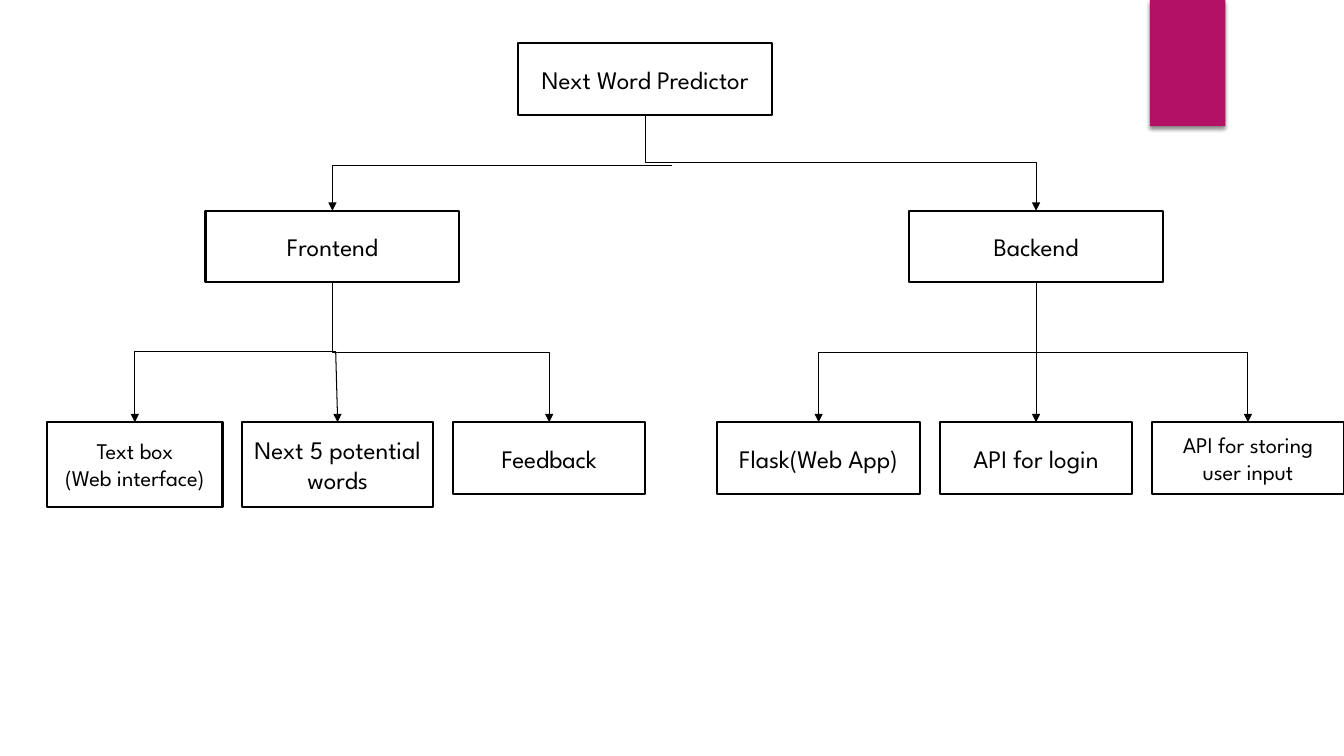
"""Draw the component tree of a next word predictor."""
import dataclasses
import typing

import pptx
import pptx.dml.color
import pptx.enum.shapes
import pptx.enum.text
import pptx.oxml
import pptx.oxml.ns
import pptx.util

Cm, Pt = pptx.util.Cm, pptx.util.Pt
Shape = pptx.enum.shapes.MSO_SHAPE
Kind = pptx.enum.shapes.MSO_CONNECTOR
qn = pptx.oxml.ns.qn
NS = pptx.oxml.ns.nsdecls("a")

COLORS = {"ink": "000000", "paper": "FFFFFF", "tab": "B31166"}
FRAME = {"word_wrap": True, "vertical_anchor": pptx.enum.text.MSO_ANCHOR.MIDDLE}
FONT = {"name": "League Spartan"}
ROOT_Y, PART_Y, LEAF_Y = 1.09, 5.31, 10.64
HIGH = 1.8
ROOT_X, FRONT_X, BACK_X = 16.26, 8.38, 26.11
BAR_Y = 8.87


@dataclasses.dataclass
class Box:
    """A labelled box, placed by its centre line and top, in cm."""
    text: str
    mid: float
    top: float
    wide: float = 4.83
    high: float = HIGH
    size: int = 18


@dataclasses.dataclass
class Link:
    """An arrow between two points in cm, straight or bent."""
    x1: float
    y1: float
    x2: float
    y2: float
    form: str = "bentConnector3"


BOXES = [
    Box("Next Word Predictor", ROOT_X, ROOT_Y, 6.4),
    Box("Frontend", FRONT_X, PART_Y, 6.4),
    Box("Backend", BACK_X, PART_Y, 6.4),
    Box("Text box\n(Web interface)", 3.4, LEAF_Y, 4.42, 2.13, 16),
    Box("Next 5 potential words", 8.51, LEAF_Y, high=2.13),
    Box("Feedback", 13.84, LEAF_Y),
    Box("Flask(Web App)", 20.63, LEAF_Y, 5.13),
    Box("API for login", BACK_X, LEAF_Y),
    Box("API for storing user input", 31.45, LEAF_Y, size=16),
]
LINKS = [
    Link(ROOT_X, ROOT_Y + HIGH, BACK_X, PART_Y),
    Link(16.94, 4.16, FRONT_X, PART_Y, "bentConnector2"),
    Link(FRONT_X, PART_Y + HIGH, 13.84, LEAF_Y),
    Link(8.46, BAR_Y, 8.51, LEAF_Y, "line"),
    Link(8.48, BAR_Y, 3.4, LEAF_Y, "bentConnector2"),
    Link(BACK_X, PART_Y + HIGH, 31.45, LEAF_Y),
    Link(BACK_X, BAR_Y, BACK_X, LEAF_Y, "line"),
    Link(BACK_X, PART_Y + HIGH, 20.63, LEAF_Y),
]


def tint(name: str) -> pptx.dml.color.RGBColor:
    """Look up a colour."""
    return pptx.dml.color.RGBColor.from_string(COLORS[name])


def apply(item: typing.Any, values: dict) -> None:
    """Set format values on an object."""
    for key, value in values.items():
        setattr(item, key, value)


def block(shapes: typing.Any, x: float, y: float, w: float, h: float, fill: str) -> typing.Any:
    """Add a filled rectangle without a shadow."""
    shape = shapes.add_shape(Shape.RECTANGLE, Cm(x), Cm(y), Cm(w), Cm(h))
    shape.shadow.inherit = False
    shape.fill.solid()
    shape.fill.fore_color.rgb = tint(fill)
    return shape


def draw_tab(shapes: typing.Any) -> None:
    """Add the coloured tab with its soft shadow."""
    tab = block(shapes, 28.98, 0, 1.9, 3.18, "tab")
    tab.line.fill.background()
    glow = pptx.oxml.parse_xml(
        f'<a:outerShdw {NS} blurRad="{Pt(3)}" dist="{Pt(2)}" dir="5400000" rotWithShape="0">'
        f'<a:srgbClr val="{COLORS["ink"]}"><a:alpha val="45000"/></a:srgbClr></a:outerShdw>')
    tab._element.spPr.find(qn("a:effectLst")).append(glow)


def draw_box(shapes: typing.Any, box: Box) -> None:
    """Add a box and its centred label."""
    shape = block(shapes, box.mid - box.wide / 2, box.top, box.wide, box.high, "paper")
    shape.line.color.rgb = tint("ink")
    shape.line.width = Pt(1.5)
    frame = shape.text_frame
    frame.text = box.text
    apply(frame, FRAME)
    for para in frame.paragraphs:
        para.alignment = pptx.enum.text.PP_ALIGN.CENTER
        for run in para.runs:
            apply(run.font, FONT | {"size": Pt(box.size)})
            run.font.color.rgb = tint("ink")


def draw_link(shapes: typing.Any, link: Link) -> None:
    """Add an arrow; a three-part bend is turned to leave downwards."""
    kind = Kind.STRAIGHT if link.form == "line" else Kind.ELBOW
    ends = [Cm(v) for v in (link.x1, link.y1, link.x2, link.y2)]
    wire = shapes.add_connector(kind, *ends)
    wire.line.color.rgb = tint("ink")
    wire.line.width = Pt(0.75)
    props = wire._element.spPr
    props.find(qn("a:prstGeom")).set("prst", link.form)
    if link.form == "bentConnector3":
        wide, high = abs(link.x2 - link.x1), link.y2 - link.y1
        left = (link.x1 + link.x2 - high) / 2
        top = (link.y1 + link.y2 - wide) / 2
        apply(wire, {"left": Cm(left), "top": Cm(top), "width": Cm(high), "height": Cm(wide)})
        right = link.x2 > link.x1
        props.xfrm.set("rot", "16200000" if right else "5400000")
        props.xfrm.set("flipH", "1" if right else "0")
    props.find(qn("a:ln")).append(pptx.oxml.parse_xml(f'<a:tailEnd {NS} type="triangle"/>'))
    props.append(pptx.oxml.parse_xml(f"<a:effectLst {NS}/>"))


def main() -> None:
    """Build and save the slide."""
    deck = pptx.Presentation()
    apply(deck, {"slide_width": Cm(33.87), "slide_height": Cm(19.05)})
    shapes = deck.slides.add_slide(deck.slide_layouts[6]).shapes
    draw_tab(shapes)
    for box in BOXES:
        draw_box(shapes, box)
    for link in LINKS:
        draw_link(shapes, link)
    deck.save("out.pptx")


main()
